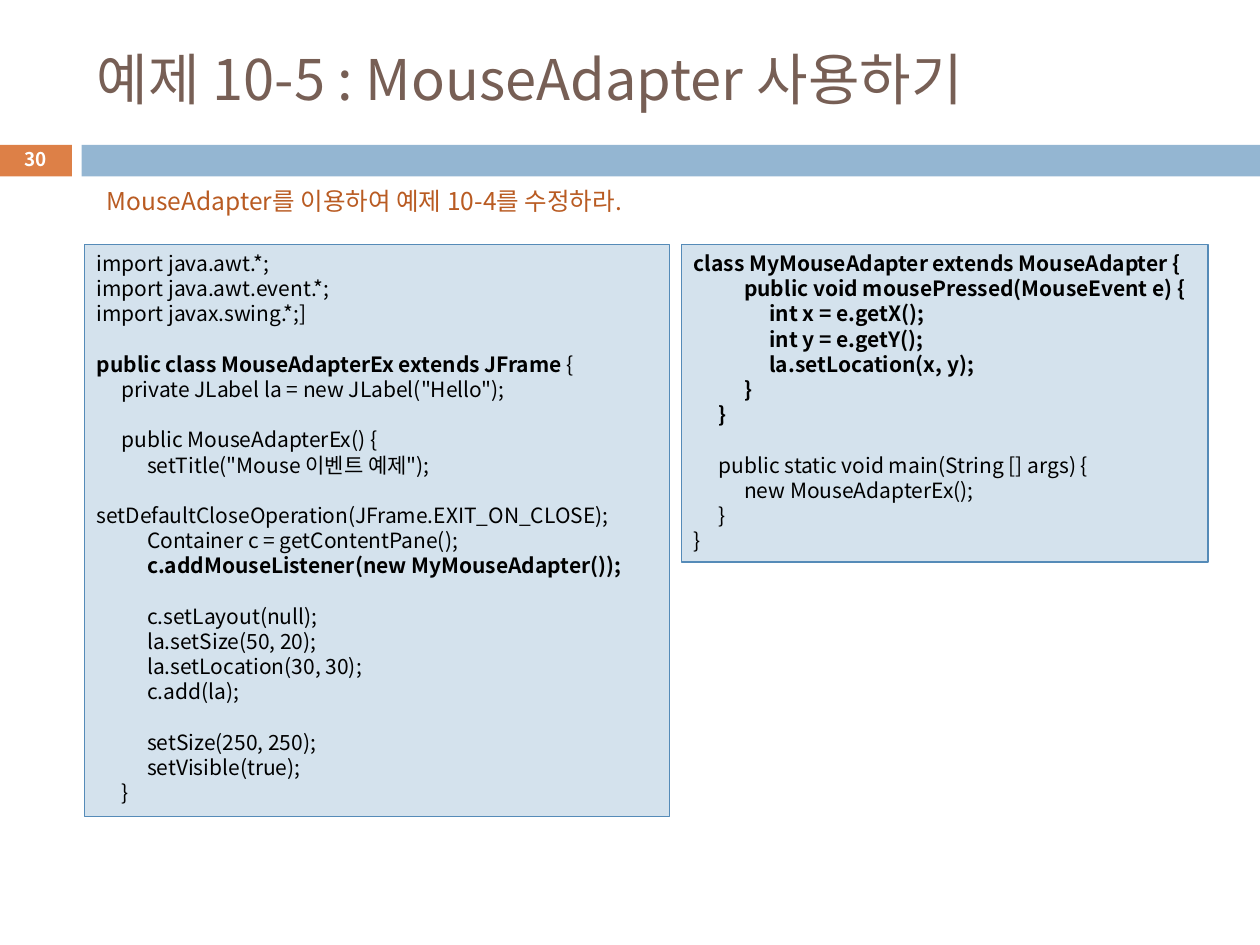
from lxml import etree
from pptx import Presentation
from pptx.dml.color import RGBColor
from pptx.enum import shapes, text
from pptx.oxml import ns
from pptx.util import Pt

FONT = "Noto Sans CJK KR"
ORANGE = RGBColor(0xDD, 0x80, 0x47)
BLUE = RGBColor(0x94, 0xB6, 0xD2)
PALE = RGBColor(0xD4, 0xE2, 0xED)
EDGE = RGBColor(0x55, 0x8B, 0xB8)
BROWN = RGBColor(0x77, 0x5F, 0x55)
RUST = RGBColor(0xB9, 0x5B, 0x22)
WHITE = RGBColor(0xFF, 0xFF, 0xFF)
BLACK = RGBColor(0, 0, 0)

LINE = 14.4
TAB = 14.4

LEFT_CODE = """import java.awt.*;
import java.awt.event.*;
import javax.swing.*;]

**public class MouseAdapterEx extends JFrame **{
\tprivate JLabel la = new JLabel("Hello");

\tpublic MouseAdapterEx() {
\t\tsetTitle("Mouse 이벤트 예제");
\t\tsetDefaultCloseOperation(JFrame.EXIT_ON_CLOSE);
\t\tContainer c = getContentPane();
\t\t**c.addMouseListener(new MyMouseAdapter());

\t\tc.setLayout(null);
\t\tla.setSize(50, 20);
\t\tla.setLocation(30, 30);
\t\tc.add(la);

\t\tsetSize(250, 250);
\t\tsetVisible(true);
\t}"""

RIGHT_CODE = """**class MyMouseAdapter extends MouseAdapter {
**\t\tpublic void mousePressed(MouseEvent e) {
**\t\t\tint x = e.getX();
**\t\t\tint y = e.getY();
**\t\t\tla.setLocation(x, y);
**\t\t}
**\t}

\tpublic static void main(String [] args) {
\t\tnew MouseAdapterEx();
\t}
}"""


def add_rect(left, top, width, height, fill):
    sp = s.shapes.add_shape(shapes.MSO_SHAPE.RECTANGLE,
                            Pt(left), Pt(top), Pt(width), Pt(height))
    sp.shadow.inherit = False
    sp.fill.solid()
    sp.fill.fore_color.rgb = fill
    sp.line.fill.background()
    return sp


def add_run(p, content, size, color, bold=False):
    r = p.add_run()
    r.text = content
    r.font.size = Pt(size)
    r.font.bold = bold
    r.font.color.rgb = color
    r.font.name = FONT
    etree.SubElement(r.font._element, ns.qn("a:ea"), typeface=FONT)


prs = Presentation()
prs.slide_width, prs.slide_height = Pt(720), Pt(540)
s = prs.slides.add_slide(prs.slide_layouts[6])

add_rect(-0.7, 82.8, 41.8, 18, ORANGE)
add_rect(46.6, 82.8, 673.4, 18, BLUE)

MIDDLE, TOP = text.MSO_ANCHOR.MIDDLE, text.MSO_ANCHOR.TOP
LEFT, CENTER = text.PP_ALIGN.LEFT, text.PP_ALIGN.CENTER
labels = [
    ("예제 10-5 : MouseAdapter 사용하기", 48.2, 18, 642.2, 53.3, 32, BROWN, False, MIDDLE, LEFT),
    ("30", -0.7, 81.4, 41.8, 19.4, 10.8, WHITE, True, MIDDLE, CENTER),
    ("MouseAdapter를 이용하여 예제 10-4를 수정하라.", 54, 103, 345.6, 24.5, 14, RUST, False, TOP, LEFT),
]
for content, left, top, width, height, size, color, bold, anchor, align in labels:
    tf = s.shapes.add_textbox(Pt(left), Pt(top), Pt(width), Pt(height)).text_frame
    tf.word_wrap = True
    tf.vertical_anchor = anchor
    tf.paragraphs[0].alignment = align
    add_run(tf.paragraphs[0], content, size, color, bold)

for code, left, width, height in [(LEFT_CODE, 48.2, 334.5, 326.9),
                                  (RIGHT_CODE, 389.3, 301, 181.6)]:
    sp = add_rect(left, 139.7, width, height, PALE)
    sp.line.color.rgb = EDGE
    sp.line.width = Pt(0.75)
    tf = sp.text_frame
    tf.word_wrap = True
    tf.vertical_anchor = TOP
    p = tf.paragraphs[0]
    for block_no, block in enumerate(code.split("\n\n")):
        for line_no, line in enumerate(block.split("\n")):
            if block_no or line_no:
                p = tf.add_paragraph()
            p.alignment = LEFT
            p.line_spacing = Pt(LINE)
            if block_no and not line_no:
                p.space_before = Pt(LINE)
            tabs = etree.SubElement(p._p.get_or_add_pPr(), ns.qn("a:tabLst"))
            for stop in range(1, 4):
                etree.SubElement(tabs, ns.qn("a:tab"), pos=str(Pt(TAB * stop)), algn="l")
            for part_no, part in enumerate(line.split("**")):
                if part:
                    add_run(p, part, 12, BLACK, part_no % 2 == 1)

prs.save("out.pptx")
